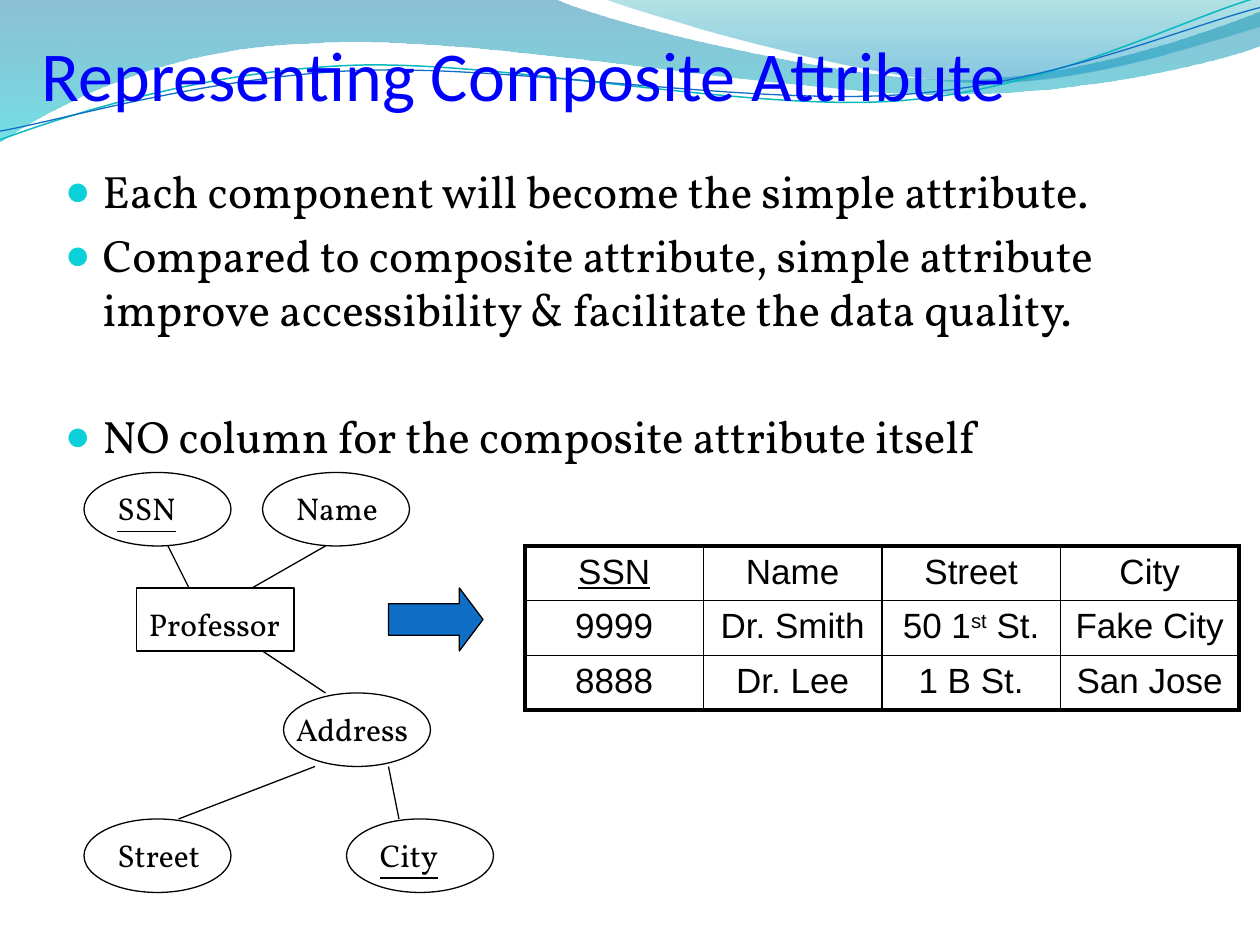
import math

import lxml.etree
import pptx
import pptx.dml.color
import pptx.enum.shapes
import pptx.enum.text
import pptx.oxml.ns
import pptx.util

Pt = pptx.util.Pt
RGB = pptx.dml.color.RGBColor
SHAPE = pptx.enum.shapes.MSO_SHAPE
ANCHOR = pptx.enum.text.MSO_ANCHOR
ALIGN = pptx.enum.text.PP_ALIGN
qn = pptx.oxml.ns.qn

BLACK = RGB(0x00, 0x00, 0x00)
WHITE = RGB(0xFF, 0xFF, 0xFF)
TITLE_BLUE = RGB(0x00, 0x00, 0xFF)
ACCENT_BLUE = RGB(0x0F, 0x6F, 0xC6)
BULLET_CYAN = RGB(0x0B, 0xD0, 0xD9)
WAVE_TEAL = RGB(0x0A, 0xB8, 0xBF)
DEEP_BLUE = RGB(0x00, 0x74, 0xA1)
AQUA = RGB(0x00, 0xC6, 0xCF)
TEAL = RGB(0x00, 0xA1, 0xA9)
SKY = RGB(0x00, 0x8B, 0xBF)

STROKE_TILT = -2.7
STROKE_CENTER = (359.3, 41.8)

# Outlines: a start point, then segments of one point (line) or three (Bezier curve).
LEFT_WAVE = [
    (0, 0), [(316.8, -0.7)],
    [(342.7, 12.2), (478.1, 45.4), (545.8, 45.4)],
    [(614.2, 45.4), (689.8, 18.7), (720, 6.5)], [(720.7, 25.9)],
    [(707.8, 31.7), (626.4, 54.7), (537.1, 54)],
    [(447.8, 54), (275, 20.2), (185, 24.5)],
    [(92.9, 25.9), (33.1, 59.8), (-0.7, 81.4)],
]
RIGHT_WAVE = [
    (344.9, -0.7), [(366.5, 7.9), (491, 44.6), (553.7, 46.8)],
    [(616.3, 49.7), (691.9, 23), (720, 15.1)], [(720, 0)],
]
TEAL_STROKE = [
    (0, 79.9), [(34.6, 67), (113.8, 41), (199.4, 37.4)],
    [(284.4, 33.8), (427, 64.1), (513.4, 57.6)],
    [(599.8, 51.1), (675.4, 10.8), (718.6, -1.4)],
]
BLUE_STROKE = [
    (0, 74.9), [(33.8, 69.1), (118.1, 43.9), (203.8, 40.3)],
    [(290.2, 36.7), (429.8, 60.5), (516.2, 54)],
    [(601.9, 48.2), (677.5, 15.1), (720, 4.3)],
]

# Text, space before
BULLETS = [
    ("Each component will become the simple attribute.", 0),
    ("Compared to composite attribute, simple attribute improve accessibility"
     " & facilitate the data quality.", 5.2),
    ("NO column for the composite attribute itself", 41.2),
]
# Name, ellipse left and top, label left and width, key
ATTRIBUTES = [
    ("SSN", 48, 270, 60, 60, True),
    ("Name", 150, 270, 162, 66, False),
    ("Address", 162, 396, 162, 84, False),
    ("Street", 48, 468, 60, 66, False),
    ("City", 198, 468, 210, 60, True),
]
LINKS = [
    (96, 312, 108, 336), (186, 312, 144, 336), (186, 396, 150, 372),
    (180, 438, 102, 468), (222, 438, 228, 468),
]
# Each cell is a list of runs; every second run is superscript.
ROWS = [
    [["SSN"], ["Name"], ["Street"], ["City"]],
    [["9999"], ["Dr. Smith"], ["50 1", "st", " St."], ["Fake City"]],
    [["8888"], ["Dr. Lee"], ["1 B St."], ["San Jose"]],
]


def add_outline(slide, outline, close):
    """Freeform whose three-point segments become Bezier curves."""
    start, *segments = outline
    points = [(Pt(x), Pt(y)) for x, y in [start] + sum(segments, [])]
    builder = slide.shapes.build_freeform(*points[0])
    builder.add_line_segments(points[1:], close=close)
    s = builder.convert_to_shape()
    s.shadow.inherit = False
    lines = iter(list(s._element.iter(qn("a:lnTo"))))
    for segment in segments:
        first, *others = [next(lines) for _ in segment]
        if others:
            first.tag = qn("a:cubicBezTo")
            for line in others:
                first.append(line[0])
                line.getparent().remove(line)
    return s


def add_wave(slide, outline, stops):
    """Filled wave; stops are (position, colour, opacity percent), top to bottom."""
    s = add_outline(slide, outline, True)
    s.line.fill.background()
    s.fill.gradient()
    s.fill.gradient_angle = 270
    for stop, (position, color, _) in zip(s.fill.gradient_stops, stops):
        stop.position = position
        stop.color.rgb = color
    colors = s._element.spPr.iter(qn("a:srgbClr"))
    for color, (_, _, opacity) in zip(list(colors), stops):
        lxml.etree.SubElement(color, qn("a:alpha"), val=str(opacity * 1000))


def level(point):
    """Turn a point of a tilted stroke back to its place before rotation."""
    angle = math.radians(-STROKE_TILT)
    cx, cy = STROKE_CENTER
    dx, dy = point[0] - cx, point[1] - cy
    return (cx + dx * math.cos(angle) - dy * math.sin(angle),
            cy + dx * math.sin(angle) + dy * math.cos(angle))


def add_stroke(slide, outline, color, width):
    start, *segments = outline
    s = add_outline(slide, [level(start)] + [[level(pt) for pt in seg] for seg in segments], False)
    s.rotation = STROKE_TILT
    s.fill.background()
    s.line.color.rgb = color
    s.line.width = Pt(width)


def add_run(p, text, size, font, color=BLACK, underline=None):
    r = p.add_run()
    r.text = text
    r.font.size = Pt(size)
    r.font.name = font
    r.font.color.rgb = color
    r.font.underline = underline
    return r


def add_text_frame(slide, *box):
    tf = slide.shapes.add_textbox(*map(Pt, box)).text_frame
    tf.word_wrap = True
    return tf


def add_title(slide, text):
    tf = add_text_frame(slide, 24, 12, 648, 54)
    tf.vertical_anchor = ANCHOR.BOTTOM
    tf.margin_left = tf.margin_right = tf.margin_bottom = 0
    add_run(tf.paragraphs[0], text, 40, "Calibri", TITLE_BLUE)


def add_bullets(slide):
    tf = add_text_frame(slide, 30, 90, 672, 180)
    for i, (text, space) in enumerate(BULLETS):
        p = tf.add_paragraph() if i else tf.paragraphs[0]
        pPr = p._p.get_or_add_pPr()
        pPr.set("marL", str(Pt(21.6)))
        pPr.set("indent", str(-Pt(21.6)))
        color = lxml.etree.SubElement(pPr, qn("a:buClr"))
        lxml.etree.SubElement(color, qn("a:srgbClr"), val=str(BULLET_CYAN))
        lxml.etree.SubElement(pPr, qn("a:buSzPct"), val="95000")
        lxml.etree.SubElement(pPr, qn("a:buFont"), typeface="Arial")
        lxml.etree.SubElement(pPr, qn("a:buChar"), char="●")
        p.space_before = Pt(space)
        add_run(p, text, 25.9, "Vollkorn")


def add_figure(slide, kind, box, fill=None):
    s = slide.shapes.add_shape(kind, *map(Pt, box))
    s.shadow.inherit = False
    if fill is None:
        s.fill.background()
    else:
        s.fill.solid()
        s.fill.fore_color.rgb = fill
    s.line.color.rgb = BLACK
    s.line.width = Pt(0.75)
    return s


def add_label(slide, text, left, top, width, underline=None):
    tf = add_text_frame(slide, left, top, width, 28.8)
    add_run(tf.paragraphs[0], text, 18, "Vollkorn", underline=underline)


def add_link(slide, ends):
    c = slide.shapes.add_connector(pptx.enum.shapes.MSO_CONNECTOR.STRAIGHT, *map(Pt, ends))
    c.line.color.rgb = BLACK
    c.line.width = Pt(0.75)
    lxml.etree.SubElement(c._element.spPr, qn("a:effectLst"))


def set_borders(cell, outer):
    """Heavy lines on the sides named in outer, thin ones elsewhere."""
    tcPr = cell._tc.get_or_add_tcPr()
    for side in "LRTB":
        width = Pt(2.25 if side in outer else 1)
        ln = lxml.etree.SubElement(tcPr, qn(f"a:ln{side}"), w=str(width))
        fill = lxml.etree.SubElement(ln, qn("a:solidFill"))
        lxml.etree.SubElement(fill, qn("a:srgbClr"), val=str(BLACK))


def add_professor_table(slide):
    n_rows, n_cols = len(ROWS), len(ROWS[0])
    table = slide.shapes.add_table(n_rows, n_cols, *map(Pt, (300, 312, 408, 93.6))).table
    table.first_row = table.horz_banding = False
    for i, row in enumerate(ROWS):
        for j, runs in enumerate(row):
            cell = table.cell(i, j)
            outer = {"T": i == 0, "B": i == n_rows - 1, "L": j == 0, "R": j == n_cols - 1}
            set_borders(cell, [side for side, edge in outer.items() if edge])
            if i == 1:
                cell.fill.solid()
                cell.fill.fore_color.rgb = WHITE
            else:
                cell.fill.background()
            p = cell.text_frame.paragraphs[0]
            p.alignment = ALIGN.CENTER
            for k, text in enumerate(runs):
                r = add_run(p, text, 20, "Arial", underline=i == j == 0)
                if k % 2:
                    r._r.get_or_add_rPr().set("baseline", "30000")


def main():
    prs = pptx.Presentation()
    prs.slide_width, prs.slide_height = Pt(720), Pt(540)
    slide = prs.slides.add_slide(prs.slide_layouts[6])
    add_wave(slide, LEFT_WAVE, [(0, DEEP_BLUE, 45), (1, AQUA, 55)])
    add_wave(slide, RIGHT_WAVE, [(0, TEAL, 30), (0.8, SKY, 45)])
    add_stroke(slide, TEAL_STROKE, WAVE_TEAL, 0.85)
    add_stroke(slide, BLUE_STROKE, ACCENT_BLUE, 0.75)
    add_title(slide, "Representing Composite Attribute")
    add_bullets(slide)
    add_figure(slide, SHAPE.RECTANGLE, (78, 336, 90, 36))
    add_label(slide, "Professor", 78, 342, 96)
    for name, left, top, label_left, width, key in ATTRIBUTES:
        add_figure(slide, SHAPE.OVAL, (left, top, 84, 42))
        add_label(slide, name, label_left, top + 6, width, key)
    for ends in LINKS:
        add_link(slide, ends)
    add_professor_table(slide)
    arrow = add_figure(slide, SHAPE.RIGHT_ARROW, (222, 336, 54, 36), ACCENT_BLUE)
    arrow.adjustments[0], arrow.adjustments[1] = 0.5, 0.375
    prs.save("out.pptx")


if __name__ == "__main__":
    main()
